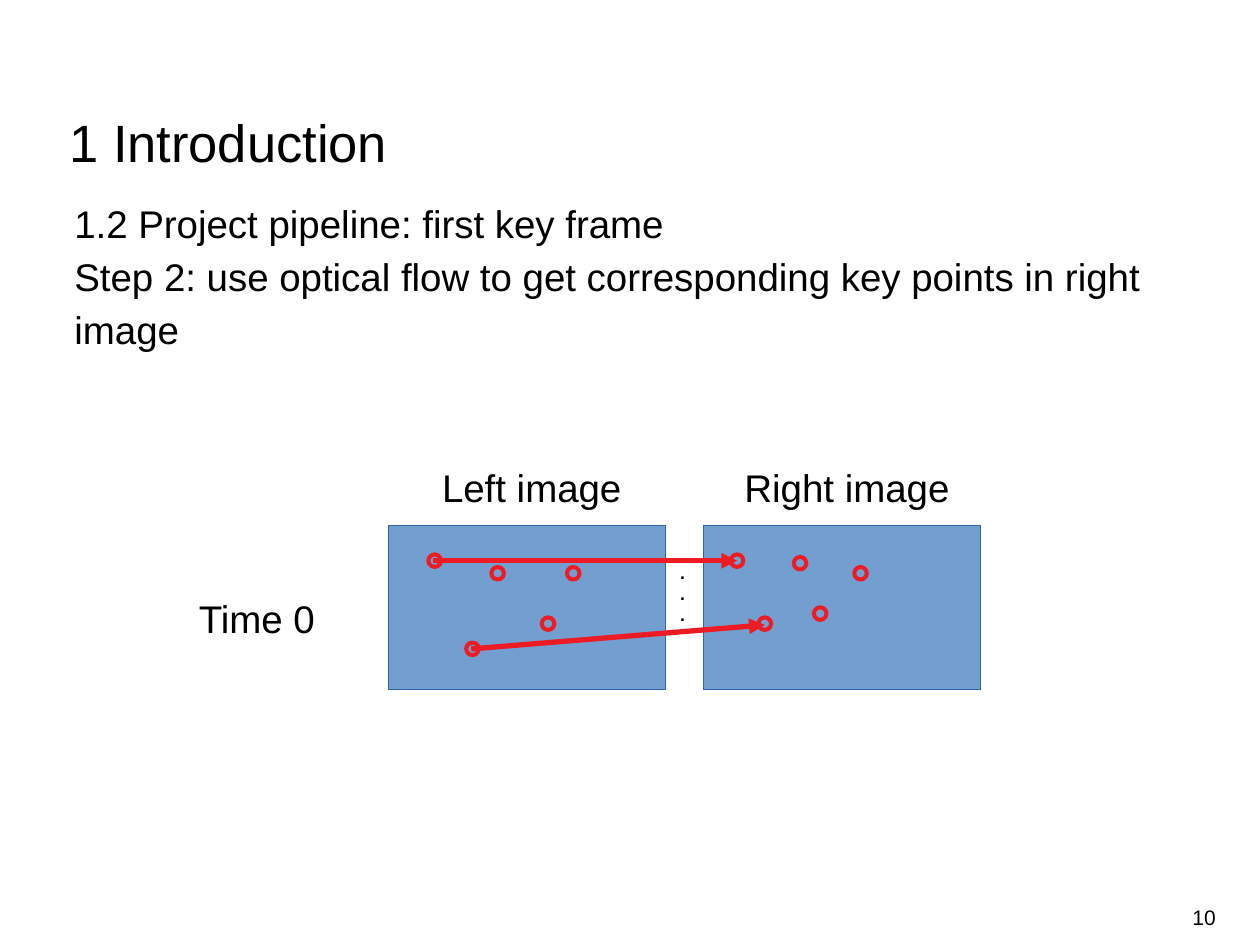
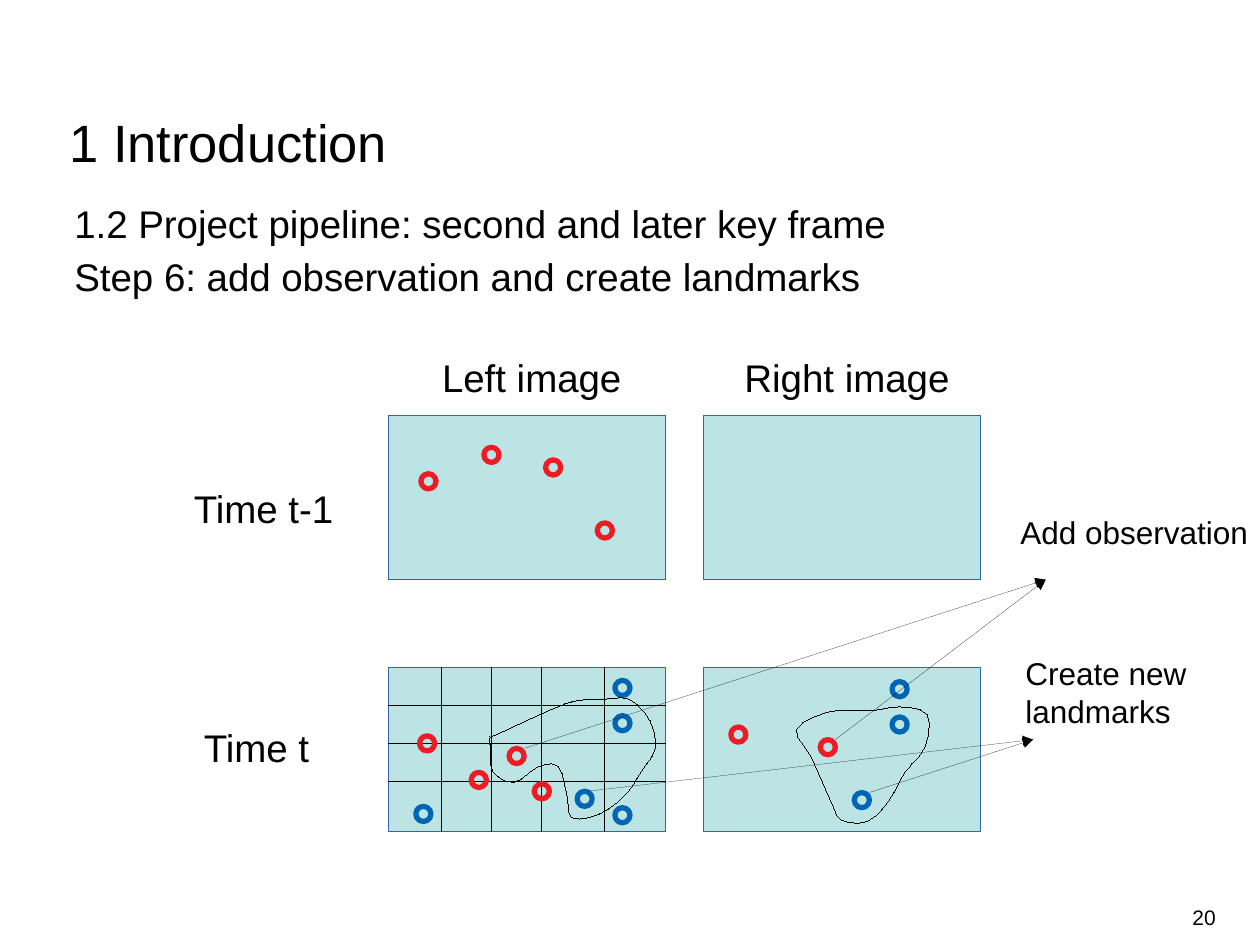
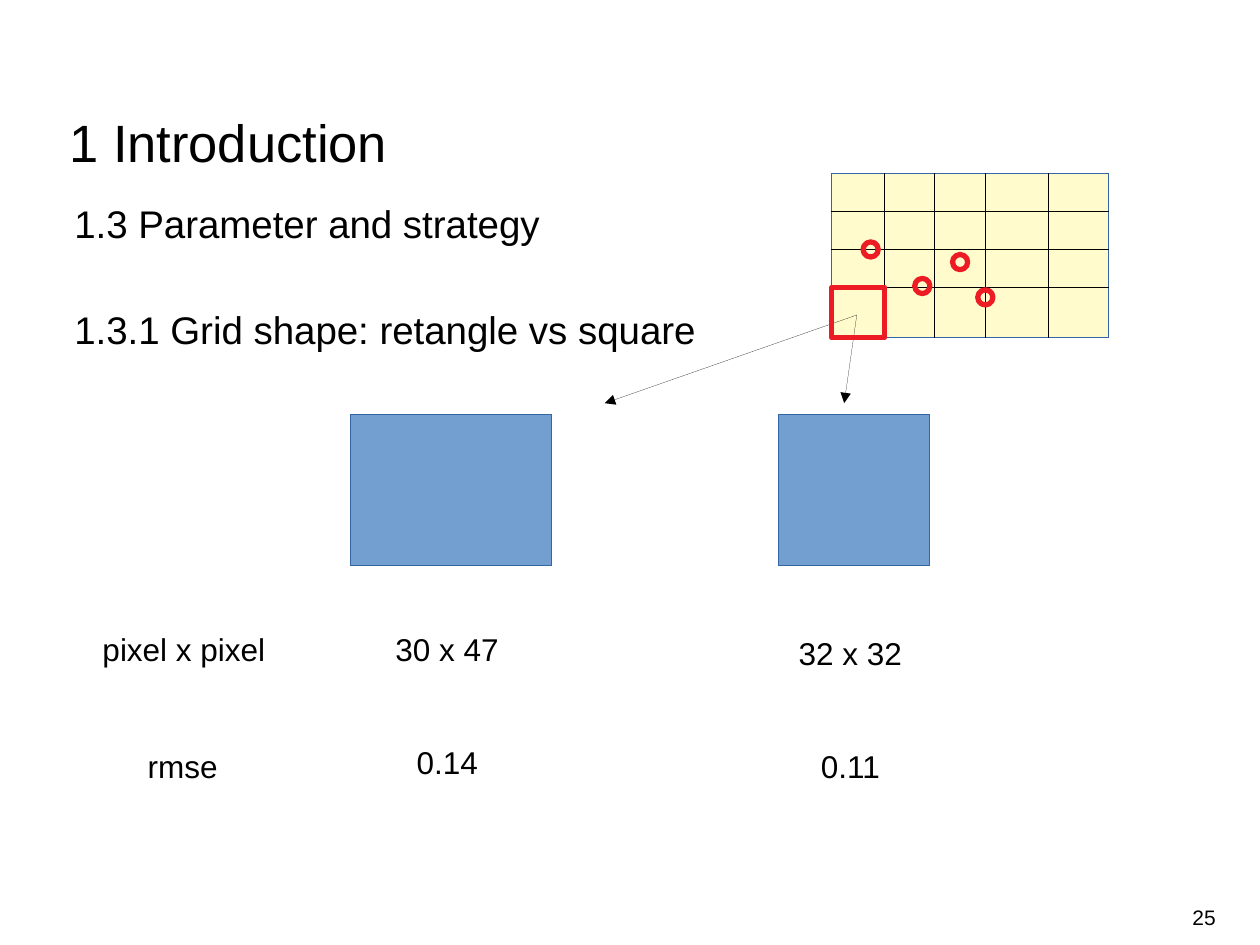
from lxml.etree import SubElement
from pptx import Presentation
from pptx.dml.color import RGBColor
from pptx.enum.shapes import MSO_CONNECTOR, MSO_SHAPE
from pptx.enum.text import MSO_ANCHOR, MSO_AUTO_SIZE, PP_ALIGN
from pptx.oxml.ns import qn
from pptx.util import Inches, Pt

COLORS = {
    "text": "000000",
    "edge": "3465A4",
    "blue": "729FCF",
    "teal": "BCE4E5",
    "cream": "FFFBCC",
    "tracked": "ED1C24",
    "new": "0066B3",
}
FONT = "Arial"
FRAME_W, FRAME_H = 2.2, 1.3
FRAME_STEP = 2.5
GRID_COLS = [0.42, 0.82, 1.22, 1.72]
GRID_ROWS = [0.3, 0.6, 0.9]
GRID_DOTS = [(0.31, 0.6), (0.72, 0.89), (1.02, 0.7), (1.22, 0.98)]
LEFT_REGION = [
    (0.86, 0.53), (1.32, 0.32), (1.51, 0.26), (1.71, 0.25), (1.92, 0.25),
    (2.08, 0.42), (2.12, 0.64), (2.01, 0.82), (1.89, 1.0), (1.68, 1.16),
    (1.46, 1.19), (1.42, 1.01), (1.35, 0.78), (1.18, 0.79), (1.0, 0.91),
    (0.83, 0.82), (0.81, 0.61), (0.81, 0.55),
]
RIGHT_REGION = [
    (1.02, 1.07), (0.86, 0.71), (0.74, 0.49), (0.96, 0.36), (1.14, 0.34),
    (1.35, 0.34), (1.56, 0.31), (1.78, 0.37), (1.76, 0.63), (1.6, 0.83),
    (1.47, 1.06), (1.3, 1.22), (1.1, 1.21),
]


def rgb(name):
    return RGBColor.from_string(COLORS[name])


def write(tf, text, size=22, bold=False, align=PP_ALIGN.LEFT, spacing=None,
          gap=0, inset=(0.1, 0.05), wrap=False, anchor=MSO_ANCHOR.TOP,
          fit=MSO_AUTO_SIZE.NONE):
    tf.margin_left = tf.margin_right = Inches(inset[0])
    tf.margin_top = tf.margin_bottom = Inches(inset[1])
    tf.word_wrap, tf.vertical_anchor, tf.auto_size = wrap, anchor, fit
    for i, line in enumerate(text.split("\n")):
        p = tf.add_paragraph() if i else tf.paragraphs[0]
        p.alignment = align
        if spacing:
            p.line_spacing = spacing
        if i and gap:
            p.space_before = Pt(gap)
        r = p.add_run()
        r.text = line
        r.font.name, r.font.size, r.font.bold = FONT, Pt(size), bold
        r.font.color.rgb = rgb("text")


def add_text(s, x, y, w, h, text, **fmt):
    tb = s.shapes.add_textbox(Inches(x), Inches(y), Inches(w), Inches(h))
    write(tb.text_frame, text, **fmt)


def add_label(s, x, y, w, h, text, **fmt):
    add_text(s, x, y, w, h, text, fit=MSO_AUTO_SIZE.SHAPE_TO_FIT_TEXT, **fmt)


def set_line(sp, color, width):
    sp.line.color.rgb = rgb(color)
    ln = sp.element.spPr.find(qn("a:ln"))
    ln.set("w", str(Pt(width)))
    return ln


def style(sp, fill, line, width):
    sp.shadow.inherit = False
    if fill:
        sp.fill.solid()
        sp.fill.fore_color.rgb = rgb(fill)
    else:
        sp.fill.background()
    set_line(sp, line, width)


def add_box(s, x, y, w, h, fill=None, line="edge", width=0, kind=MSO_SHAPE.RECTANGLE):
    sp = s.shapes.add_shape(kind, Inches(x), Inches(y), Inches(w), Inches(h))
    style(sp, fill, line, width)


def add_dots(s, x, y, centres, color="tracked", size=0.12, width=3):
    for dx, dy in centres:
        add_box(s, x + dx - size / 2, y + dy - size / 2, size, size,
                line=color, width=width, kind=MSO_SHAPE.OVAL)


def add_line(s, x, y, start, end, color="text", width=0, arrow=False):
    cn = s.shapes.add_connector(
        MSO_CONNECTOR.STRAIGHT, Inches(x + start[0]), Inches(y + start[1]),
        Inches(x + end[0]), Inches(y + end[1]))
    ln = set_line(cn, color, width)
    if arrow:
        SubElement(ln, qn("a:tailEnd"), type="triangle")
    SubElement(cn.element.spPr, qn("a:effectLst"))


def add_frame(s, x, y, fill):
    add_box(s, x, y, FRAME_W, FRAME_H, fill=fill)


def add_pair(s, x, y, fill):
    for i in range(2):
        add_frame(s, x + i * FRAME_STEP, y, fill)


def add_pair_heads(s, x, y):
    add_label(s, x + 0.33, y - 0.54, 1.65, 0.44, "Left image")
    add_label(s, x + FRAME_STEP + 0.23, y - 0.54, 1.85, 0.44, "Right image")


def add_grid(s, x, y):
    for dy in GRID_ROWS:
        add_line(s, x, y, (0, dy), (FRAME_W, dy))
    for dx in GRID_COLS:
        add_line(s, x, y, (dx, 0), (dx, FRAME_H))


def smooth_loop(points, steps=3):
    n = len(points)
    curve = []
    for i in range(n):
        a, b, c, d = (points[(i + k) % n] for k in (-1, 0, 1, 2))
        for t in (k / steps for k in range(steps)):
            curve.append(tuple(
                0.5 * (2 * q + (r - p) * t + (2 * p - 5 * q + 4 * r - u) * t ** 2
                       + (3 * q - p - 3 * r + u) * t ** 3)
                for p, q, r, u in zip(a, b, c, d)))
    return curve


def add_region(s, x, y, points):
    curve = [(Inches(x + dx), Inches(y + dy)) for dx, dy in smooth_loop(points)]
    fb = s.shapes.build_freeform(*curve[0])
    fb.add_line_segments(curve[1:], close=True)
    style(fb.convert_to_shape(), None, "text", 0)


def add_page(prs, number, body, gap=0):
    s = prs.slides.add_slide(prs.slide_layouts[5])
    title = s.shapes.title
    title.left, title.top = Inches(0.55), Inches(0.93)
    title.width, title.height = Inches(6.85), Inches(0.45)
    write(title.text_frame, "1 Introduction", size=30, spacing=Pt(32),
          inset=(0, 0), wrap=True)
    add_text(s, 0.59, 1.54, 8.85, 4.87, body, spacing=1.14, gap=gap,
             inset=(0, 0), wrap=True)
    add_text(s, 7.41, 7.08, 2.24, 0.4, str(number), size=12, align=PP_ALIGN.RIGHT,
             inset=(0, 0.05), wrap=True, anchor=MSO_ANCHOR.MIDDLE)
    return s


def add_flow(s, x, y):
    add_pair(s, x, y, "blue")
    add_pair_heads(s, x, y)
    add_label(s, x - 1.6, y + 0.5, 1.15, 0.44, "Time 0")
    left = [(0.37, 0.28), (0.87, 0.38), (1.47, 0.38), (0.67, 0.98), (1.27, 0.78)]
    right = [(0.27, 0.28), (0.77, 0.3), (1.25, 0.38), (0.49, 0.78), (0.93, 0.7)]
    for i, centres in enumerate((left, right)):
        add_dots(s, x + i * FRAME_STEP, y, centres, size=0.1, width=2.3)
    for start, end in (((0.36, 0.28), (2.77, 0.28)), ((0.66, 0.98), (2.99, 0.79))):
        add_line(s, x, y, start, end, color="tracked", width=3, arrow=True)
    add_label(s, x + 2.22, y + 0.24, 0.24, 0.56, ".\n.\n.", size=10, bold=True)


def add_previous_frames(s, x, y):
    add_pair(s, x, y, "teal")
    add_pair_heads(s, x, y)
    add_label(s, x - 1.64, y + 0.5, 1.35, 0.44, "Time t-1")
    add_dots(s, x, y, [(0.32, 0.52), (0.82, 0.31), (1.31, 0.41), (1.72, 0.91)])


def add_current_frames(s, x, y):
    right = x + FRAME_STEP
    add_pair(s, x, y, "teal")
    add_label(s, x - 1.56, y + 0.4, 1.06, 0.44, "Time t")
    add_grid(s, x, y)
    add_dots(s, x, y, GRID_DOTS)
    add_dots(s, x, y, [(0.28, 1.16), (1.86, 0.16), (1.56, 1.04), (1.86, 1.17),
                       (1.86, 0.44)], color="new")
    add_dots(s, right, y, [(1.56, 0.17), (1.26, 1.05), (1.56, 0.45)], color="new")
    add_dots(s, right, y, [(0.28, 0.53), (0.99, 0.63)])
    add_region(s, x, y, LEFT_REGION)
    add_region(s, right, y, RIGHT_REGION)
    targets = {
        (5.22, -0.7): [(1.08, 0.64), (3.55, 0.57)],
        (5.12, 0.57): [(1.58, 0.98), (3.82, 0.99)],
    }
    for end, starts in targets.items():
        for start in starts:
            add_line(s, x, y, start, end, arrow=True)
    add_label(s, x + 4.92, y - 1.28, 2.04, 0.38, "Add observation", size=18)
    add_label(s, x + 4.96, y - 0.16, 1.5, 0.66, "Create new\nlandmarks", size=18)


def add_grid_sample(s, x, y):
    add_frame(s, x, y, "cream")
    add_grid(s, x, y)
    add_dots(s, x, y, GRID_DOTS)
    for end in ((-1.8, 1.82), (0.1, 1.82)):
        add_line(s, x, y, (0.2, 1.12), end, arrow=True)
    add_box(s, x, y + GRID_ROWS[-1], GRID_COLS[0], FRAME_H - GRID_ROWS[-1],
            line="tracked", width=3)


def add_shape_comparison(s, x, y):
    for dx, w in ((2.18, 1.6), (5.58, 1.2)):
        add_box(s, x + dx, y, w, 1.2, fill="blue")
    cells = [
        (0.01, 1.66, 1.7, "pixel x pixel", PP_ALIGN.CENTER),
        (2.44, 1.66, 1.1, "30 x 47", PP_ALIGN.LEFT),
        (5.64, 1.69, 1.1, "32 x 32", PP_ALIGN.LEFT),
        (0, 2.59, 1.7, "rmse", PP_ALIGN.CENTER),
        (2.4, 2.56, 1.1, "0.14", PP_ALIGN.CENTER),
        (5.6, 2.59, 1.1, "0.11", PP_ALIGN.CENTER),
    ]
    for dx, dy, w, text, align in cells:
        add_label(s, x + dx, y + dy, w, 0.38, text, size=18, align=align, wrap=True)


def main():
    prs = Presentation()
    prs.slide_width, prs.slide_height = Inches(10), Inches(7.5)

    s = add_page(prs, 10, "1.2 Project pipeline: first key frame\n"
                 "Step 2: use optical flow to get corresponding key points in right image")
    add_flow(s, 3.08, 4.17)

    s = add_page(prs, 20, "1.2 Project pipeline: second and later key frame\n"
                 "Step 6: add observation and create landmarks")
    add_previous_frames(s, 3.08, 3.3)
    add_current_frames(s, 3.08, 5.3)

    s = add_page(prs, 25, "1.3 Parameter and strategy\n"
                 "1.3.1 Grid shape: retangle vs square", gap=30)
    add_shape_comparison(s, 0.6, 3.29)
    add_grid_sample(s, 6.6, 1.38)

    prs.save("out.pptx")


if __name__ == "__main__":
    main()
